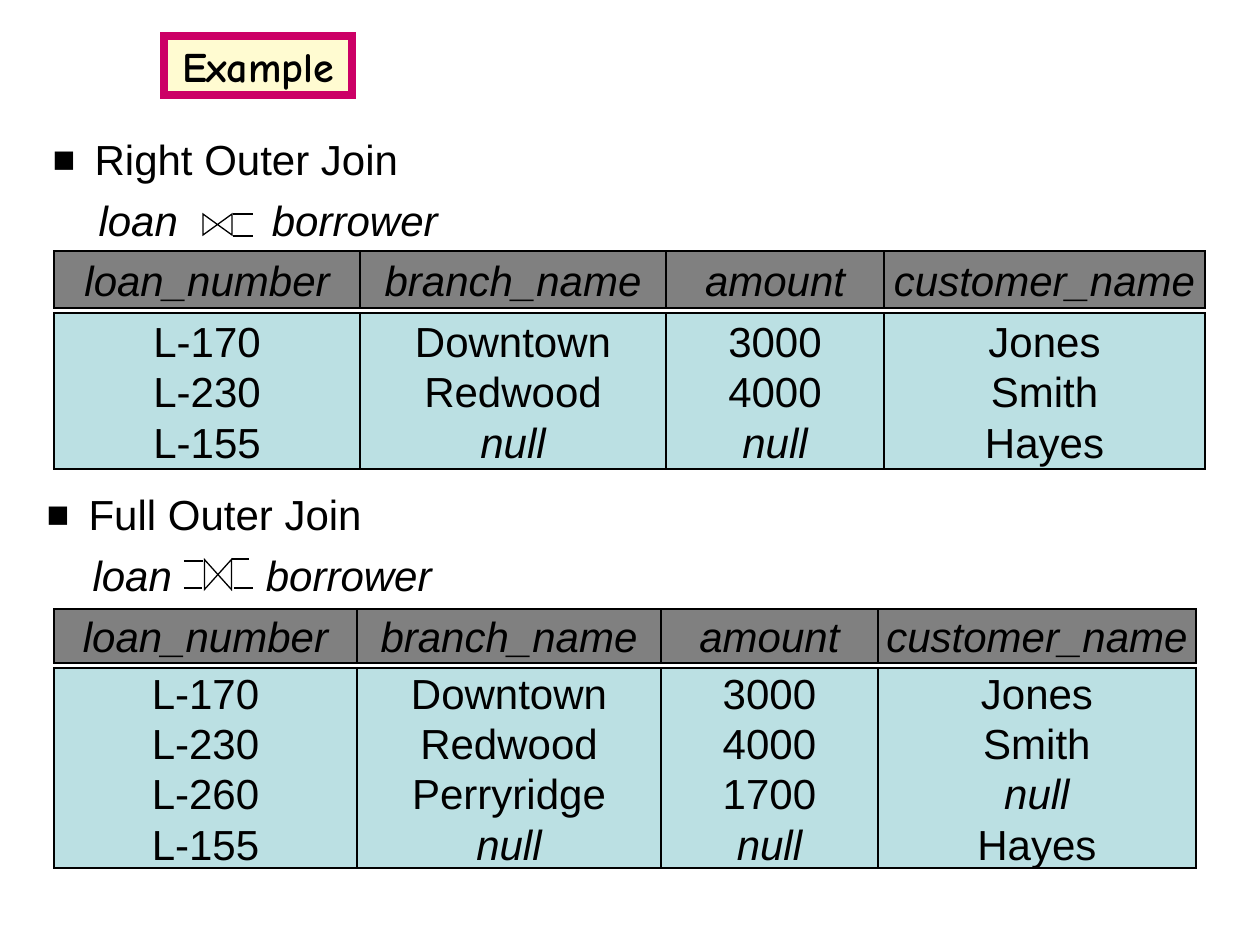
"""Build the slide showing right and full outer joins of loan and borrower."""
from lxml import etree
from pptx import Presentation
from pptx import util as u
from pptx.dml.color import RGBColor
from pptx.enum import shapes, text
from pptx.oxml import ns

SCALE = 914400 / 126
COLOURS = {"ink": "000000", "header": "808080", "body": "BBE0E3",
           "title": "FFFBD1", "frame": "CC0066"}
FONT, TITLE_FONT, SIZE = "Arial", "Comic Neue", 24
COLUMNS = ["loan_number", "branch_name", "amount", "customer_name"]
TABLE_LEFT = 54
TITLE_BOX = (164, 36, 188, 59)
BULLET_INDENT, FORMULA_INDENT = 42, 46
SYMBOL_GAP = 47

JOINS = [
    {
        "name": "Right Outer Join",
        "box": (40, 135, 629, 117),
        "bowtie": (207, 210, 21, 29),
        "bars": [(233, 253, 214), (233, 253, 236)],
        "widths": [306, 306, 218, 321],
        "header": (251, 57),
        "body": (313, 156),
        "rows": [
            ["L-170", "Downtown", "3000", "Jones"],
            ["L-230", "Redwood", "4000", "Smith"],
            ["L-155", "null", "null", "Hayes"],
        ],
    },
    {
        "name": "Full Outer Join",
        "box": (34, 490, 561, 117),
        "bowtie": (203, 561, 30, 27),
        "bars": [(184, 203, 561), (184, 202, 588), (234, 253, 588), (232, 249, 559)],
        "widths": [303, 304, 217, 318],
        "header": (609, 54),
        "body": (668, 200),
        "rows": [
            ["L-170", "Downtown", "3000", "Jones"],
            ["L-230", "Redwood", "4000", "Smith"],
            ["L-260", "Perryridge", "1700", "null"],
            ["L-155", "null", "null", "Hayes"],
        ],
    },
]


def px(value):
    return u.Emu(round(value * SCALE))


def colour(name):
    return RGBColor.from_string(COLOURS[name])


def child(parent, tag, **attributes):
    return etree.SubElement(parent, ns.qn(tag), {k: str(v) for k, v in attributes.items()})


def place(shape, box):
    shape.left, shape.top, shape.width, shape.height = map(px, box)


def add_run(paragraph, words, font=FONT, bold=False, italic=False):
    run = paragraph.add_run()
    run.text = words
    run.font.name, run.font.size = font, u.Pt(SIZE)
    run.font.bold, run.font.italic = bold, italic
    run.font.color.rgb = colour("ink")
    return run


def outline(shape, name="ink", width=0.75):
    shape.line.color.rgb = colour(name)
    shape.line.width = u.Pt(width)
    child(shape.line._get_or_add_ln(), "a:miter", lim=800000)


def fill_box(shape, fill):
    shape.fill.solid()
    shape.fill.fore_color.rgb = colour(fill)
    frame = shape.text_frame
    frame.word_wrap = False
    frame.auto_size = text.MSO_AUTO_SIZE.NONE
    frame.vertical_anchor = text.MSO_ANCHOR.MIDDLE
    return frame


def fill_title(title):
    place(title, TITLE_BOX)
    outline(title, "frame", 4.5)
    paragraph = fill_box(title, "title").paragraphs[0]
    paragraph.alignment = text.PP_ALIGN.CENTER
    add_run(paragraph, "Example", TITLE_FONT, bold=True)


def indent(paragraph, left, first):
    properties = paragraph._p.get_or_add_pPr()
    properties.set("marL", str(px(left)))
    properties.set("indent", str(px(first)))
    return properties


def fill_list(body, join):
    place(body, join["box"])
    frame = body.text_frame
    frame.word_wrap = True
    frame.auto_size = text.MSO_AUTO_SIZE.NONE
    heading, formula = frame.paragraphs[0], frame.add_paragraph()

    properties = indent(heading, BULLET_INDENT, -BULLET_INDENT)
    child(child(properties, "a:buClr"), "a:srgbClr", val=COLOURS["ink"])
    child(properties, "a:buSzPct", val=90000)
    child(properties, "a:buFont", typeface=FONT)
    child(properties, "a:buChar", char="■")
    child(indent(formula, FORMULA_INDENT, 0), "a:buNone")

    for paragraph, space in ((heading, 0), (formula, 10.5)):
        paragraph.line_spacing = 0.85
        paragraph.space_before = u.Pt(space)
    add_run(heading, join["name"])
    add_run(formula, "loan", italic=True)
    gap = add_run(formula, " ", italic=True)
    gap._r.get_or_add_rPr().set("spc", str(SYMBOL_GAP * 100))
    add_run(formula, "borrower", italic=True)


def add_join_symbol(slide, join):
    bowtie = slide.shapes.add_shape(shapes.MSO_SHAPE.FLOWCHART_COLLATE,
                                    *map(px, join["bowtie"]))
    bowtie.rotation = 270
    bowtie.shadow.inherit = False
    bowtie.fill.background()
    outline(bowtie)
    for start, end, y in join["bars"]:
        bar = slide.shapes.add_connector(shapes.MSO_CONNECTOR.STRAIGHT,
                                         px(start), px(y), px(end), px(y))
        outline(bar)
        child(bar._element.spPr, "a:effectLst")


def add_band(slide, rows, widths, top, height, fill, header=False):
    left = TABLE_LEFT
    for width, values in zip(widths, zip(*rows)):
        box = slide.shapes.add_shape(shapes.MSO_SHAPE.RECTANGLE,
                                     *map(px, (left, top, width, height)))
        box.shadow.inherit = False
        outline(box)
        frame = fill_box(box, fill)
        for index, value in enumerate(values):
            paragraph = frame.add_paragraph() if index else frame.paragraphs[0]
            paragraph.alignment = text.PP_ALIGN.CENTER
            add_run(paragraph, value, italic=header or value == "null")
        left += width


def main():
    presentation = Presentation()
    presentation.slide_width, presentation.slide_height = px(1260), px(945)
    slide = presentation.slides.add_slide(presentation.slide_layouts.get_by_name("Two Content"))
    title, *bodies = slide.placeholders
    fill_title(title)
    for body, join in zip(bodies, JOINS):
        fill_list(body, join)
        add_join_symbol(slide, join)
        add_band(slide, [COLUMNS], join["widths"], *join["header"], "header", header=True)
        add_band(slide, join["rows"], join["widths"], *join["body"], "body")
    presentation.save("out.pptx")


if __name__ == "__main__":
    main()
